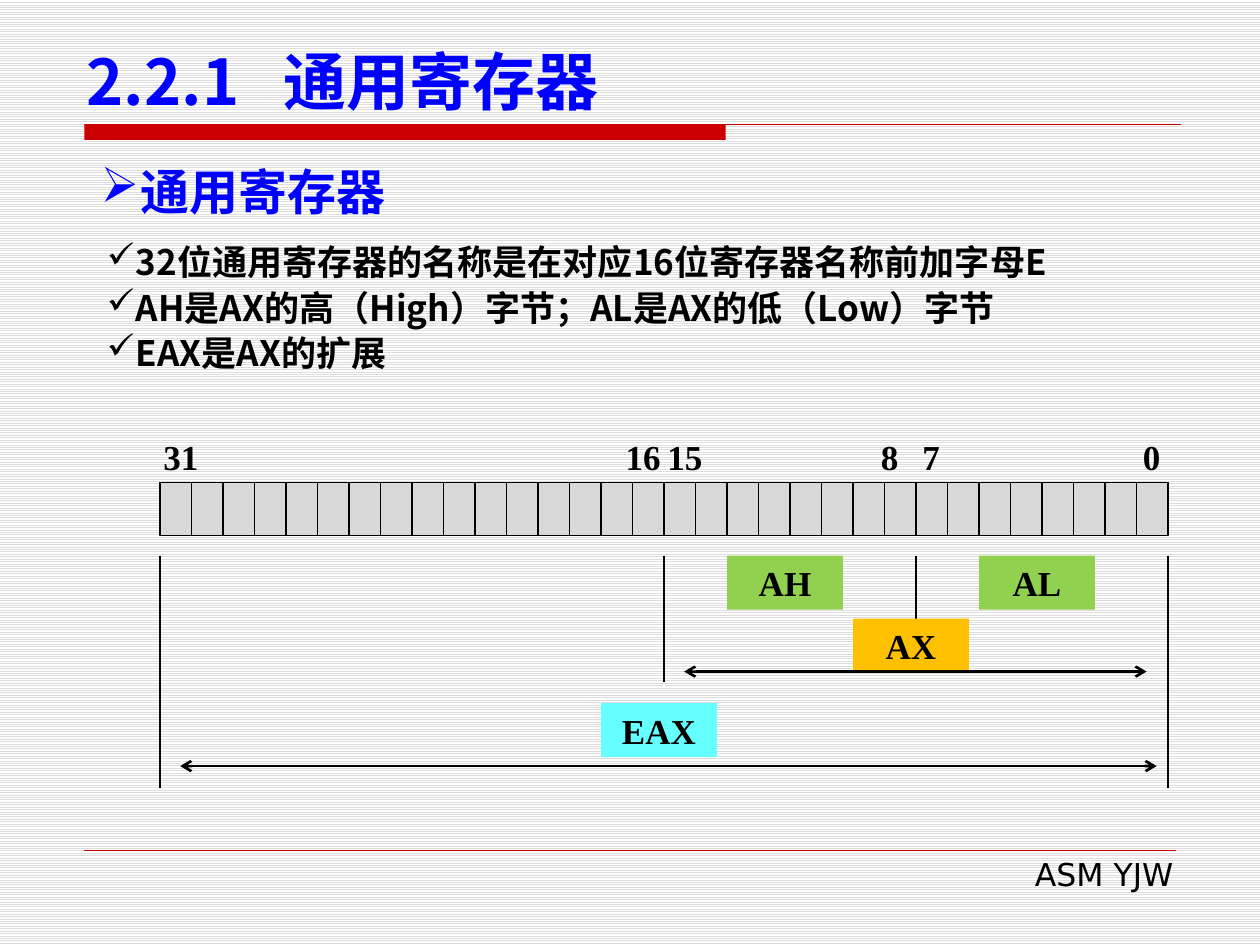
from lxml import etree
from pptx import Presentation
from pptx.dml.color import RGBColor
from pptx.enum.dml import MSO_PATTERN
from pptx.enum.shapes import MSO_CONNECTOR, MSO_SHAPE
from pptx.enum.text import MSO_ANCHOR as Anchor, PP_ALIGN as Align
from pptx.oxml.ns import qn
from pptx.util import Inches, Pt

BLACK = RGBColor(0, 0, 0)
WHITE = RGBColor(255, 255, 255)
STRIPE = RGBColor(0xDD, 0xDD, 0xDD)
RED = RGBColor(0xCC, 0, 0)
BLUE = RGBColor(0, 0, 255)
GREY = RGBColor(0xD9, 0xD9, 0xD9)
GREEN = RGBColor(0x92, 0xD0, 0x50)
AMBER = RGBColor(0xFF, 0xC0, 0)
CYAN = RGBColor(0x66, 0xFF, 0xFF)
SANS, CJK, SERIF = "DejaVu Sans", "Noto Sans CJK SC", "Times New Roman"

TITLE = "2.2.1\t通用寄存器"
HEADING = "通用寄存器"
FACTS = [
    "32位通用寄存器的名称是在对应16位寄存器名称前加字母E",
    "AH是AX的高（High）字节；AL是AX的低（Low）字节",
    "EAX是AX的扩展",
]
FOOTER = "ASM YJW"
BIT_LABELS = [("0", 8.93), ("7", 7.18), ("8", 6.85), ("15", 5.1), ("16", 4.77), ("31", 1.1)]
REGISTERS = [
    ("AH", 15, 8, 4.41, GREEN),
    ("AL", 7, 0, 4.41, GREEN),
    ("AX", 15, 0, 4.91, AMBER),
    ("EAX", 31, 0, 5.58, CYAN),
]
BOUNDARIES = [(-1, 6.25), (31, 6.25), (15, 5.41), (7, 4.91)]
SPAN_ARROWS = [(5.43, 9.1, 5.33), (1.43, 9.18, 6.08)]

BITS, BIT_WIDTH, BIT_HEIGHT = 32, 0.25, 0.42
ROW_LEFT, ROW_TOP, GUIDE_TOP = 1.27, 3.83, 4.41
BOX_WIDTH, BOX_HEIGHT, BOX_OFFSET = 0.92, 0.43, 0.5

prs = Presentation()
prs.slide_width, prs.slide_height = Inches(10), Inches(7.5)
slide = prs.slides.add_slide(prs.slide_layouts[6])
backdrop = slide.background.fill
backdrop.patterned()
backdrop.pattern = MSO_PATTERN.LIGHT_HORIZONTAL
backdrop.fore_color.rgb = STRIPE
backdrop.back_color.rgb = WHITE


def bit_left(bit):
    return ROW_LEFT + (BITS - 1 - bit) * BIT_WIDTH


def add_rect(left, top, width, height, color, outlined=False):
    rect = slide.shapes.add_shape(
        MSO_SHAPE.RECTANGLE, Inches(left), Inches(top), Inches(width), Inches(height))
    rect.shadow.inherit = False
    rect.fill.solid()
    rect.fill.fore_color.rgb = color
    if outlined:
        rect.line.color.rgb = BLACK
        rect.line.width = Pt(0.75)
    else:
        rect.line.fill.background()
    return rect


def add_line(x1, y1, x2, y2, color=BLACK, weight=0.75, arrows=False):
    line = slide.shapes.add_connector(
        MSO_CONNECTOR.STRAIGHT, Inches(x1), Inches(y1), Inches(x2), Inches(y2))
    line.line.color.rgb = color
    line.line.width = Pt(weight)
    if arrows:
        outline = line.line._get_or_add_ln()
        for end in ("a:headEnd", "a:tailEnd"):
            etree.SubElement(outline, qn(end), type="arrow")
    etree.SubElement(line._element.spPr, qn("a:effectLst"))


def write(shape, lines, size, font, color=BLACK, bold=True, align=Align.LEFT,
          anchor=Anchor.TOP, before=0):
    frame = shape.text_frame
    frame.word_wrap = True
    frame.vertical_anchor = anchor
    frame.text = "\n".join(lines)
    for paragraph in frame.paragraphs:
        paragraph.alignment = align
        paragraph.space_before = Pt(before)
        for run in paragraph.runs:
            run.font.size = Pt(size)
            run.font.bold = bold
            run.font.name = font
            run.font.color.rgb = color
            etree.SubElement(run.font._element, qn("a:ea"), typeface=font)
    return frame.paragraphs


def add_text(left, top, width, height, lines, size, font, **style):
    box = slide.shapes.add_textbox(Inches(left), Inches(top), Inches(width), Inches(height))
    return write(box, lines, size, font, **style)


def add_bullets(paragraphs, symbol, indent):
    for paragraph in paragraphs:
        props = paragraph._p.get_or_add_pPr()
        props.set("marL", str(Inches(indent)))
        props.set("indent", str(-Inches(indent)))
        etree.SubElement(props, qn("a:buChar"), char=symbol)


add_rect(0.67, 0.99, 5.09, 0.12, RED)
add_line(0.67, 0.99, 9.37, 0.99, RED)
add_line(0.67, 6.75, 9.33, 6.75, RED, 0.25)
add_text(3.82, 6.74, 5.59, 0.4, [FOOTER], 18, SANS, bold=False, align=Align.RIGHT)

title = add_text(0.59, 0.28, 9.06, 0.71, [TITLE], 36, CJK, color=BLUE, anchor=Anchor.BOTTOM)
tabs = etree.SubElement(title[0]._p.get_or_add_pPr(), qn("a:tabLst"))
etree.SubElement(tabs, qn("a:tab"), pos=str(Inches(1.56)), algn="l")

heading = add_text(0.7, 1.23, 8.66, 0.57, [HEADING], 28, SANS, color=BLUE, align=Align.JUSTIFY)
add_bullets(heading, "➢", 0.32)
facts = add_text(0.75, 1.86, 8.95, 1.38, FACTS, 20, CJK, before=2)
add_bullets(facts, "✓", 0.23)

for bit in reversed(range(BITS)):
    add_rect(bit_left(bit), ROW_TOP, BIT_WIDTH, BIT_HEIGHT, GREY, outlined=True)
for bit, bottom in BOUNDARIES:
    add_line(bit_left(bit), GUIDE_TOP, bit_left(bit), bottom)
for name, high, low, top, color in REGISTERS:
    middle = (bit_left(high) + bit_left(low - 1)) / 2
    box = add_rect(middle - BOX_OFFSET, top, BOX_WIDTH, BOX_HEIGHT, color)
    write(box, [name], 20, SERIF, align=Align.CENTER)
for start, end, y in SPAN_ARROWS:
    add_line(start, y, end, y, weight=1.5, arrows=True)
for label, left in BIT_LABELS:
    width = 0.42 if len(label) == 1 else 0.67
    add_text(left, 3.41, width, BOX_HEIGHT, [label], 20, SERIF, align=Align.CENTER)

prs.save("out.pptx")
